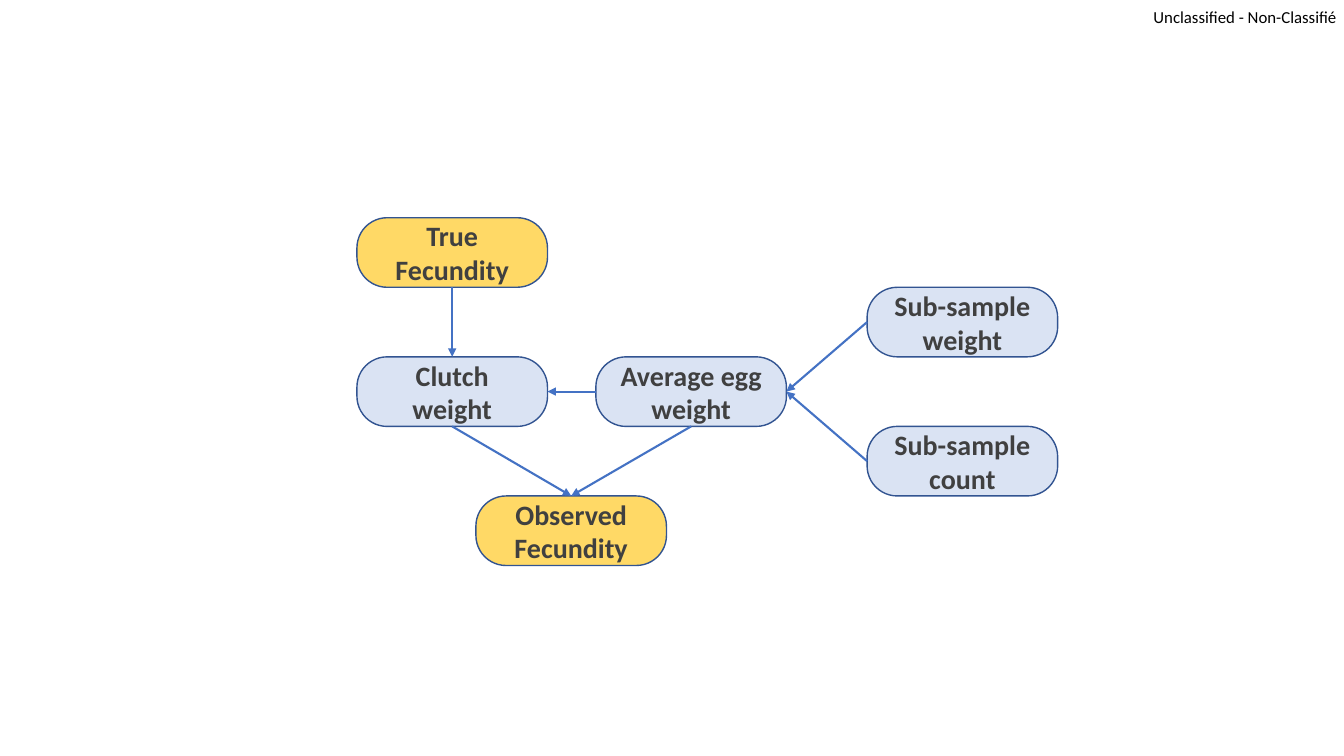
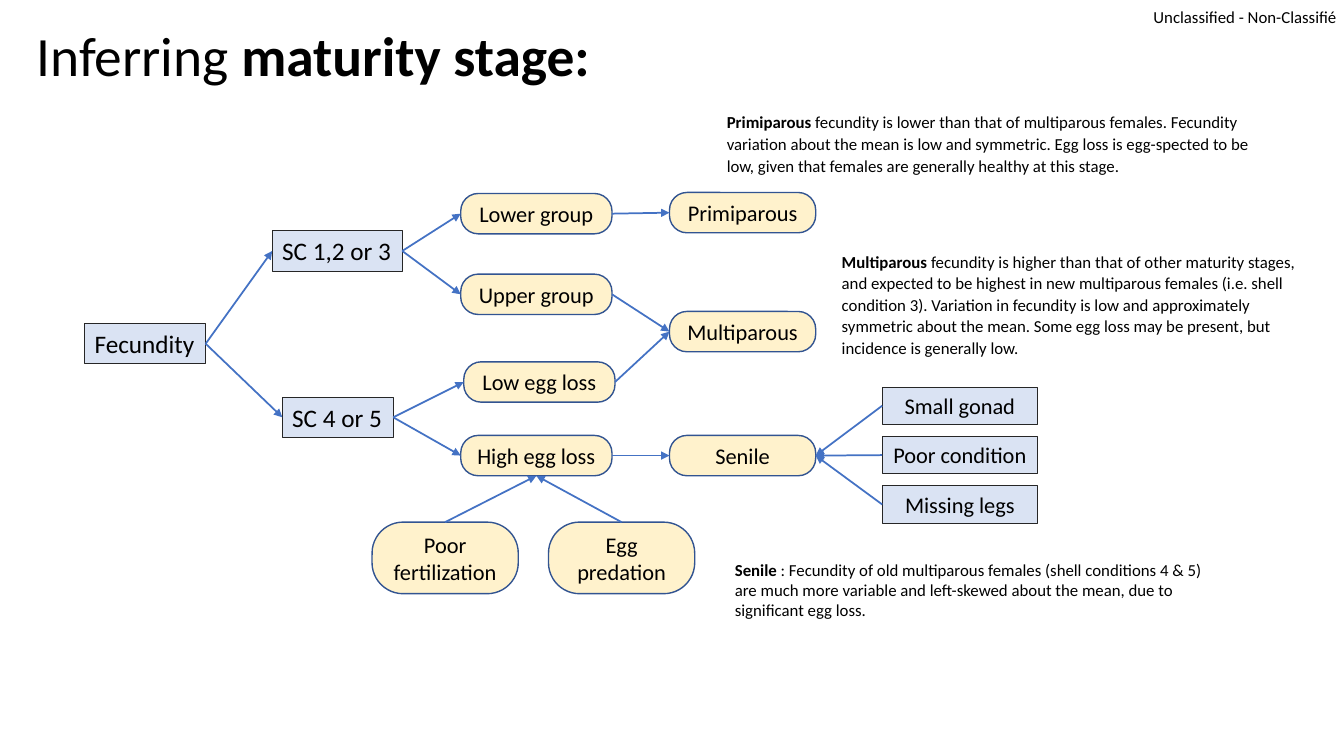
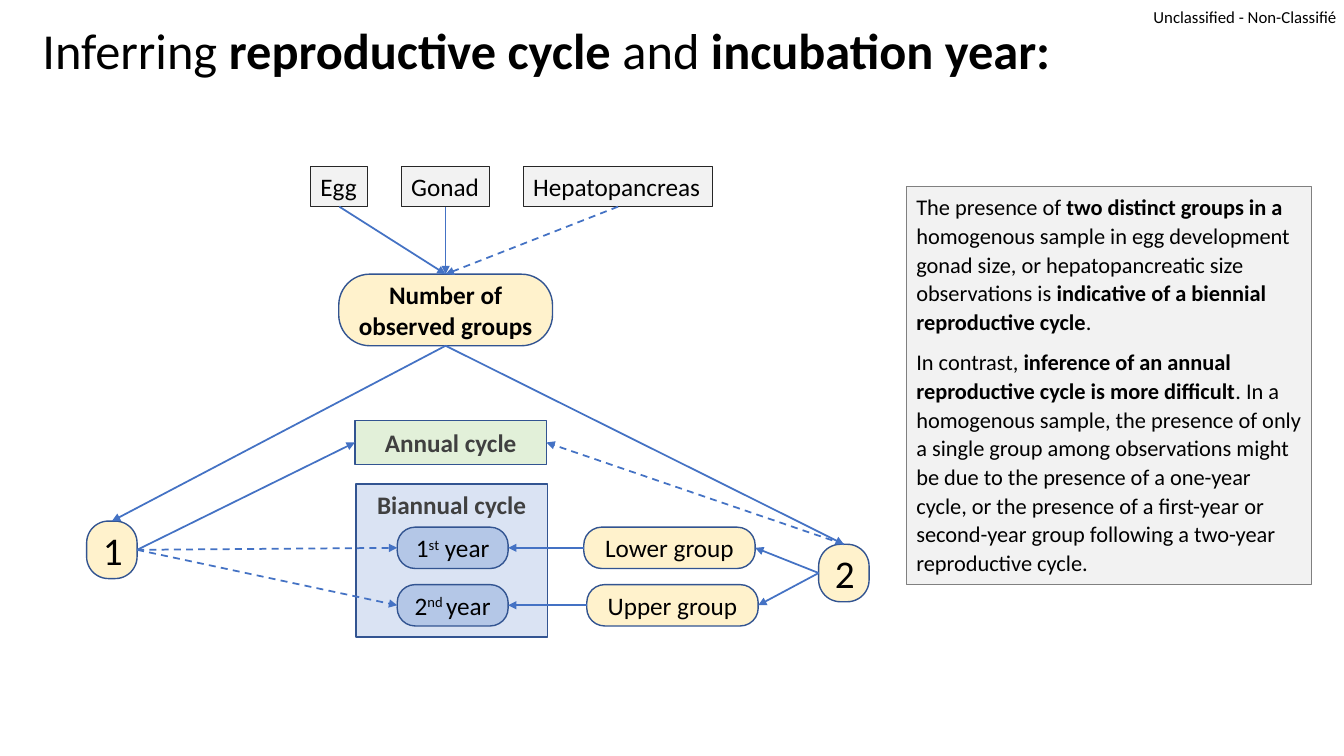
from pptx import Presentation
from pptx.dml.color import RGBColor
from pptx.enum.dml import MSO_LINE
from pptx.enum.shapes import MSO_CONNECTOR, MSO_SHAPE
from pptx.enum.text import MSO_ANCHOR, MSO_AUTO_SIZE, PP_ALIGN
from pptx.oxml.ns import qn
from pptx.util import Pt
from lxml import etree

EMU_PER_PX = 9144
FONT = "Calibri"
RECT, ROUND = MSO_SHAPE.RECTANGLE, MSO_SHAPE.ROUNDED_RECTANGLE
STRAIGHT, DASH = MSO_CONNECTOR.STRAIGHT, MSO_LINE.DASH
LEFT_ALIGN, CENTER = PP_ALIGN.LEFT, PP_ALIGN.CENTER
ANCHOR_TOP, ANCHOR_MIDDLE = MSO_ANCHOR.TOP, MSO_ANCHOR.MIDDLE
NO_AUTOFIT = MSO_AUTO_SIZE.NONE
TOP, LEFT, BOTTOM, RIGHT = range(4)
TITLE_ONLY, BLANK = 5, 6

BLACK, CHARCOAL, INK = "000000", "404040", "262626"
NAVY, ARROW, GREY, PALE_GREY = "325491", "4472C4", "808080", "F2F2F2"
GOLD, CREAM, PALE_BLUE, MID_BLUE, GREEN = "FFD966", "FFF2CC", "DAE3F3", "B4C7E7", "E2F0D9"


def px(n):
    """Turn px into EMU."""
    return n * EMU_PER_PX


def rgb(value):
    """Turn a hex string into a colour."""
    return RGBColor.from_string(value)


def place(s, x, y, w, h):
    """Move and size a shape."""
    s.left, s.top, s.width, s.height = px(x), px(y), px(w), px(h)


def write(p, parts, size, color=BLACK, align=LEFT_ALIGN, spacing=None):
    """Fill a paragraph with (text, mark) parts; b is bold, sup is raised."""
    p.alignment = align
    if spacing:
        p.line_spacing = spacing
    for text, mark in parts:
        r = p.add_run()
        r.text = text
        r.font.name, r.font.size = FONT, Pt(size)
        r.font.bold = mark == "b"
        r.font.color.rgb = rgb(color)
        if mark == "sup":
            r._r.get_or_add_rPr().set("baseline", "30000")


def shape(slide, kind, box, fill, line, weight):
    """Add a filled, outlined shape without shadow."""
    sp = slide.shapes.add_shape(kind, *map(px, box))
    sp.shadow.inherit = False
    sp.fill.solid()
    sp.fill.fore_color.rgb = rgb(fill)
    sp.line.color.rgb = rgb(line)
    sp.line.width = Pt(weight)
    return sp


def node(slide, box, parts, fill=CREAM, size=16, color=BLACK, kind=ROUND,
         align=CENTER, anchor=ANCHOR_MIDDLE):
    """Add a navy-outlined flow node."""
    sp = shape(slide, kind, box, fill, NAVY, 1)
    if kind == ROUND:
        sp.adjustments[0] = 0.433
    tf = sp.text_frame
    tf.word_wrap = True
    tf.vertical_anchor = anchor
    write(tf.paragraphs[0], parts, size, color, align)
    return sp


def label(slide, box, text, fill=PALE_BLUE, size=18, align=LEFT_ALIGN):
    """Add a one-line rectangular label."""
    sp = shape(slide, RECT, box, fill, INK, 0.75)
    tf = sp.text_frame
    tf.word_wrap = False
    tf.vertical_anchor = ANCHOR_TOP
    write(tf.paragraphs[0], [(text, "")], size, align=align)
    return sp


def link(slide, a, b, start=RIGHT, end=LEFT, dashed=False, weight=1.25):
    """Join two shapes with an arrow."""
    c = slide.shapes.add_connector(STRAIGHT, 0, 0, 0, 0)
    c.begin_connect(a, start)
    c.end_connect(b, end)
    c.line.color.rgb = rgb(ARROW)
    c.line.width = Pt(weight)
    if dashed:
        c.line.dash_style = DASH
    etree.SubElement(c.get_or_add_ln(), qn("a:tailEnd"), type="triangle")
    etree.SubElement(c.element.spPr, qn("a:effectLst"))


def note(slide, box, parts, spacing=None):
    """Add a small explanatory text."""
    tf = slide.shapes.add_textbox(*map(px, box)).text_frame
    tf.word_wrap = True
    write(tf.paragraphs[0], parts, 12, spacing=spacing)


def set_title(slide, box, parts, size):
    """Fill the title placeholder."""
    title = slide.shapes.title
    place(title, *box)
    tf = title.text_frame
    tf.auto_size = NO_AUTOFIT
    tf.vertical_anchor = ANCHOR_MIDDLE
    write(tf.paragraphs[0], parts, size, spacing=0.9)


def mark_master(prs, slide, box):
    """Put the classification marking on the master."""
    sp = slide.shapes.add_textbox(*map(px, box))
    tf = sp.text_frame
    tf.word_wrap = False
    tf.margin_left = tf.margin_top = tf.margin_right = tf.margin_bottom = 0
    write(tf.paragraphs[0], [("Unclassified - Non-Classifié", "")], 12)
    prs.slide_master.element.cSld.spTree.append(sp.element)


def fecundity_flow(slide, x, y):
    """Draw how observed fecundity is derived."""
    w, h, middle, far = 189, 69, 237, 506

    def step(text, dx, row, fill=PALE_BLUE):
        """Add a node on the given row."""
        return node(slide, (x + dx, y + row * h, w, h), [(text, "b")], fill, 20, CHARCOAL)

    true = step("True Fecundity", 0, 0, GOLD)
    clutch = step("Clutch weight", 0, 2)
    average = step("Average egg weight", middle, 2)
    observed = step("Observed Fecundity", middle // 2, 4, GOLD)
    weight = step("Sub-sample weight", far, 1)
    count = step("Sub-sample count", far, 3)
    for a, b, start, end in [
        (true, clutch, BOTTOM, TOP), (average, clutch, LEFT, RIGHT),
        (weight, average, LEFT, RIGHT), (count, average, LEFT, RIGHT),
        (clutch, observed, BOTTOM, TOP), (average, observed, BOTTOM, TOP),
    ]:
        link(slide, a, b, start, end, weight=1.5)


def maturity_tree(slide, x, y):
    """Draw the decision tree for maturity stages."""
    fecundity, early, late = [
        label(slide, (x + dx, y + dy, w, 40), text) for text, dx, dy, w in [
            ("Fecundity", 0, 130, 120), ("SC 1,2 or 3", 186, 38, 129), ("SC 4 or 5", 196, 203, 110)]]
    lower, upper, low_loss, high_loss = [
        node(slide, (x + dx, y + dy, 150, 40), [(text, "")]) for text, dx, dy in [
            ("Lower group", 373, 1), ("Upper group", 373, 81),
            ("Low egg loss", 376, 168), ("High egg loss", 373, 241)]]
    primiparous, multiparous, senile = [
        node(slide, (x + 580, y + dy, 145, 40), [(text, "")]) for text, dy in [
            ("Primiparous", 0), ("Multiparous", 118), ("Senile", 241)]]
    for a, b in [(fecundity, early), (fecundity, late), (early, lower), (early, upper),
                 (late, low_loss), (late, high_loss), (lower, primiparous),
                 (upper, multiparous), (low_loss, multiparous), (high_loss, senile)]:
        link(slide, a, b)
    for i, text in enumerate(["Poor fertilization", "Egg predation"]):
        cause = node(slide, (x + 285 + i * 175, y + 327, 145, 71), [(text, "")])
        link(slide, cause, high_loss, TOP, BOTTOM)
    for i, text in enumerate(["Small gonad", "Poor condition", "Missing legs"]):
        sign = label(slide, (x + 791, y + 193 + i * 49, 154, 37), text, size=16, align=CENTER)
        link(slide, sign, senile, LEFT, RIGHT)


def maturity_notes(slide, x, y):
    """Describe each maturity stage."""
    note(slide, (x, y, 549, 74), [
        ("Primiparous", "b"),
        (" fecundity is lower than that of multiparous females. Fecundity variation about the "
         "mean is low and symmetric. Egg loss is egg-spected to be low, given that females are "
         "generally healthy at this stage.", "")], 1.07)
    note(slide, (x + 114, y + 138, 472, 117), [
        ("Multiparous", "b"),
        (" fecundity is higher than that of other maturity stages, and expected to be highest in "
         "new multiparous females (i.e. shell condition 3). Variation in fecundity is low and "
         "approximately symmetric about the mean. Some egg loss may be present, but incidence is "
         "generally low.", "")], 1.07)
    note(slide, (x + 8, y + 445, 503, 71), [
        ("Senile", "b"),
        (" : Fecundity of old multiparous females (shell conditions 4 & 5) are much more variable "
         "and left-skewed about the mean, due to significant egg loss.", "")])


def cycle_flow(slide, x, y):
    """Draw how observed groups lead to a reproductive cycle."""
    annual = node(slide, (x + 266, y + 252, 190, 44), [("Annual cycle", "b")],
                  GREEN, 18, CHARCOAL, RECT)
    node(slide, (x + 267, y + 315, 190, 152), [("Biannual cycle", "b")],
         PALE_BLUE, 18, CHARCOAL, RECT, anchor=ANCHOR_TOP)
    groups = node(slide, (x + 250, y + 107, 212, 71), [("Number of observed groups", "b")], size=18)
    one, two = [node(slide, (x + dx, y + dy, 50, 57), [(text, "")], size=28, align=LEFT_ALIGN)
                for text, dx, dy in [("1", 0, 352), ("2", 726, 375)]]
    for text, dx, w, dashed in [("Egg", 222, 57, False), ("Gonad", 312, 88, False),
                                ("Hepatopancreas", 433, 188, True)]:
        organ = label(slide, (x + dx, y, w, 40), text, PALE_GREY)
        link(slide, organ, groups, BOTTOM, TOP, dashed)
    for count in (one, two):
        link(slide, groups, count, BOTTOM, TOP)
    link(slide, one, annual)
    link(slide, two, annual, TOP, RIGHT, True)
    years = [([("1", ""), ("st", "sup"), (" year", "")], "Lower group", 493),
             ([("2", ""), ("nd ", "sup"), ("year", "")], "Upper group", 496)]
    for i, (parts, text, dx) in enumerate(years):
        top = y + 358 + i * 57
        year = node(slide, (x + 308, top, 110, 41), parts, MID_BLUE, 18)
        group = node(slide, (x + dx, top, 170, 41), [(text, "")], size=18)
        link(slide, one, year, dashed=True)
        link(slide, two, group, LEFT, RIGHT)
        link(slide, group, year, LEFT, RIGHT)


def cycle_note(slide, box):
    """Explain the inference in a grey panel."""
    tf = shape(slide, RECT, box, PALE_GREY, GREY, 0.75).text_frame
    tf.word_wrap = True
    tf.vertical_anchor = ANCHOR_TOP
    paragraphs = [
        [("The presence of ", ""), ("two distinct groups in a ", "b"),
         ("homogenous sample in egg development gonad size, or hepatopancreatic size "
          "observations is ", ""),
         ("indicative of a biennial reproductive cycle", "b"), (".", "")],
        [("In contrast, ", ""),
         ("inference of an annual reproductive cycle is more difficult", "b"),
         (". In a homogenous sample, the presence of only a single group among observations "
          "might be due to the presence of a one-year cycle, or the presence of a first-year or "
          "second-year group following a two-year reproductive cycle.", "")],
    ]
    for i, parts in enumerate(paragraphs):
        p = tf.add_paragraph() if i else tf.paragraphs[0]
        write(p, parts, 16, spacing=1.07)
        p.space_after = Pt(8)


def main():
    """Build the deck."""
    prs = Presentation()
    prs.slide_width, prs.slide_height = px(1333), px(750)
    layouts = prs.slide_layouts

    s = prs.slides.add_slide(layouts[BLANK])
    mark_master(prs, s, (1144, 7, 186, 20))
    fecundity_flow(s, 354, 216)

    s = prs.slides.add_slide(layouts[TITLE_ONLY])
    set_title(s, (26, 21, 1150, 75), [("Inferring", ""), (" maturity stage:", "b")], 39.6)
    maturity_tree(s, 84, 191)
    maturity_notes(s, 711, 105)

    s = prs.slides.add_slide(layouts[TITLE_ONLY])
    set_title(s, (32, 15, 1150, 75), [
        ("Inferring", ""), (" reproductive cycle ", "b"),
        ("and", ""), (" incubation year:", "b")], 36)
    cycle_flow(s, 86, 165)
    cycle_note(s, (899, 185, 402, 395))

    prs.save("out.pptx")


if __name__ == "__main__":
    main()
